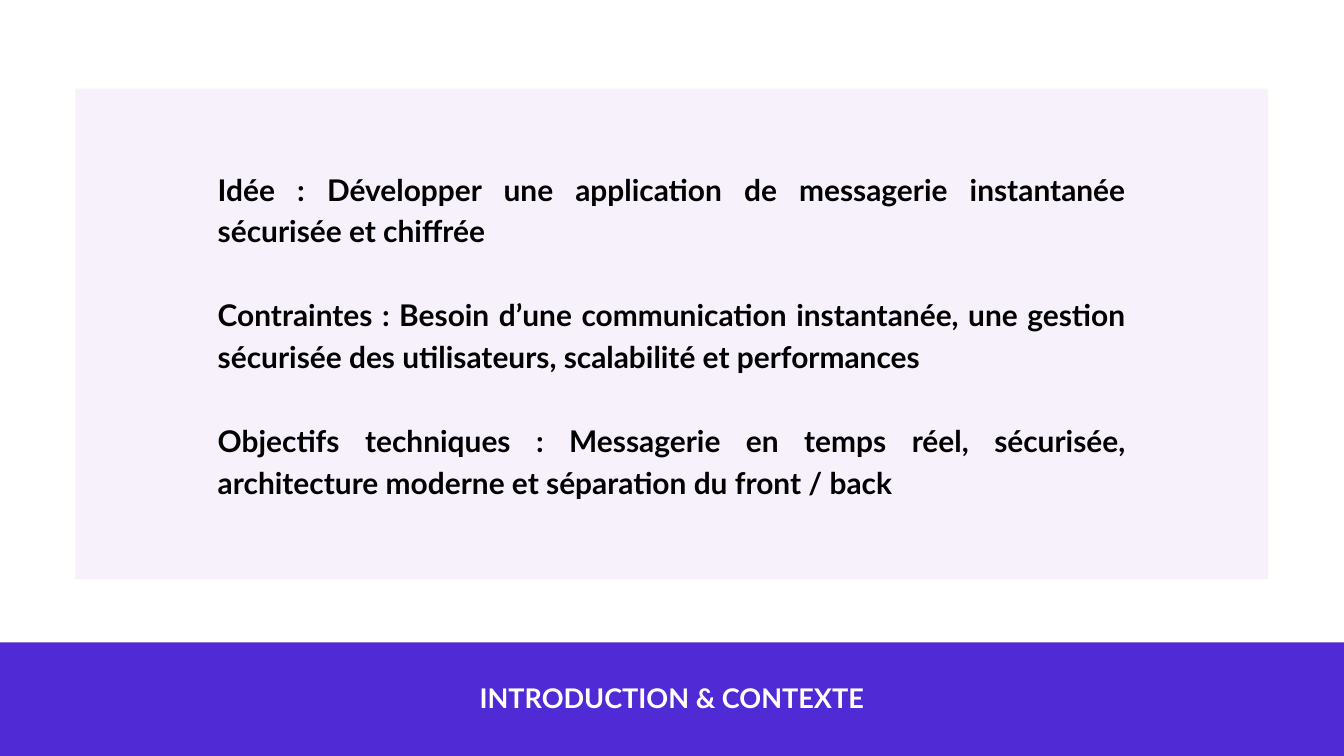
from lxml.etree import SubElement
from pptx import Presentation
from pptx.dml.color import RGBColor
from pptx.enum.shapes import MSO_SHAPE
from pptx.enum.text import MSO_ANCHOR, MSO_AUTO_SIZE, PP_ALIGN
from pptx.oxml.ns import qn
from pptx.util import Inches, Pt

FONT = "Lato"
PURPLE, LILAC, BLACK, WHITE = "502AD5", "A066CB", "000000", "FFFFFF"
TITLE = "INTRODUCTION & CONTEXTE"
TOPICS = [
    "Idée : Développer une application de messagerie instantanée sécurisée et chiffrée",
    "Contraintes : Besoin d’une communication instantanée, une gestion sécurisée "
    "des utilisateurs, scalabilité et performances",
    "Objectifs techniques : Messagerie en temps réel, sécurisée, architecture moderne "
    "et séparation du front / back",
]


def set_color(color_format, hex_color):
    color_format.rgb = RGBColor.from_string(hex_color)


def add_rectangle(slide, box, color, opacity=100):
    shape = slide.shapes.add_shape(MSO_SHAPE.RECTANGLE, *map(Inches, box))
    shape.shadow.inherit = False
    shape.line.fill.background()
    shape.fill.solid()
    set_color(shape.fill.fore_color, color)
    if opacity < 100:
        color_element = next(shape.element.iter(qn("a:srgbClr")))
        SubElement(color_element, qn("a:alpha"), val=str(opacity * 1000))


def fill_placeholder(slide, placeholder, box, texts, size, line, gap, color, alignment):
    placeholder.left, placeholder.top, placeholder.width, placeholder.height = map(Inches, box)
    slide.shapes.element.append(placeholder.element)
    frame = placeholder.text_frame
    frame.text = "\n".join(texts)
    frame.word_wrap = True
    frame.auto_size = MSO_AUTO_SIZE.NONE
    frame.vertical_anchor = MSO_ANCHOR.TOP
    frame.margin_left = frame.margin_right = frame.margin_top = frame.margin_bottom = 0
    for index, paragraph in enumerate(frame.paragraphs):
        properties = paragraph._p.get_or_add_pPr()
        properties.set("marL", "0")
        properties.set("indent", "0")
        SubElement(properties, qn("a:buNone"))
        paragraph.alignment = alignment
        paragraph.line_spacing = Pt(line)
        paragraph.space_before = Pt(gap if index else 0)
        paragraph.space_after = Pt(0)
        for run in paragraph.runs:
            run.font.name = FONT
            run.font.size = Pt(size)
            run.font.bold = True
            set_color(run.font.color, color)


def add_title_band(slide, left, top, width, height):
    add_rectangle(slide, (left, top, width, height), PURPLE)
    title_width = width * 0.535
    title_box = (left + (width - title_width) / 2, top + 0.5, title_width, 0.54)
    fill_placeholder(slide, slide.shapes.title, title_box, [TITLE],
                     29, 40.6, 0, WHITE, PP_ALIGN.CENTER)


def add_topics_panel(slide, left, top, width, height):
    add_rectangle(slide, (left, top, width, height), LILAC, opacity=9)
    inset_x, inset_y = 2.12, 1.14
    topics_box = (left + inset_x, top + inset_y, width - 2 * inset_x + 0.01, 4.95)
    fill_placeholder(slide, slide.placeholders[1], topics_box, TOPICS,
                     32, 44.8, 45, BLACK, PP_ALIGN.JUSTIFY)


def main():
    presentation = Presentation()
    presentation.slide_width, presentation.slide_height = Inches(20), Inches(11.25)
    slide = presentation.slides.add_slide(presentation.slide_layouts[1])
    add_title_band(slide, 0, 9.56, 20, 1.69)
    add_topics_panel(slide, 1.12, 1.32, 17.75, 7.3)
    presentation.save("out.pptx")


if __name__ == "__main__":
    main()
